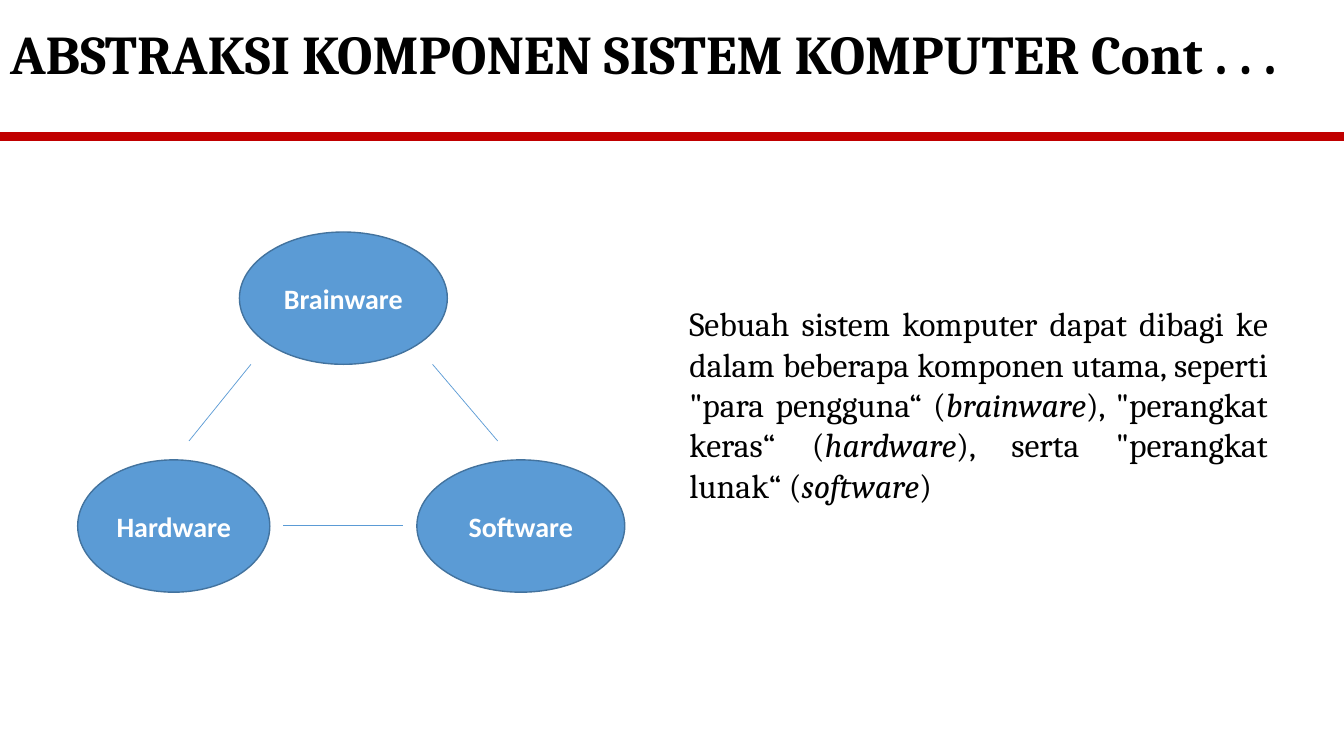
"""Build the slide on the components of a computer system."""
from typing import NamedTuple

from lxml.etree import SubElement
from pptx import Presentation
from pptx.dml.color import RGBColor
from pptx.enum.shapes import MSO_CONNECTOR, MSO_SHAPE
from pptx.enum.text import MSO_ANCHOR, MSO_AUTO_SIZE, PP_ALIGN
from pptx.oxml.ns import qn
from pptx.slide import Slide
from pptx.text.text import TextFrame
from pptx.util import Emu, Pt

EMU_PER_PX = 9525
BLACK = RGBColor(0x00, 0x00, 0x00)
WHITE = RGBColor(0xFF, 0xFF, 0xFF)
RED = RGBColor(0xC0, 0x00, 0x00)
BLUE = RGBColor(0x5B, 0x9B, 0xD5)
DARK_BLUE = RGBColor(0x43, 0x73, 0x9E)
COMPONENT_HEIGHT = 126


class Component(NamedTuple):
    name: str
    left: int
    top: int
    width: int


class Line(NamedTuple):
    start: tuple[int, int]
    end: tuple[int, int]
    color: RGBColor = BLUE
    weight: float = 0.5


COMPONENTS = (
    Component("Hardware", 74, 438, 183),
    Component("Brainware", 228, 221, 198),
    Component("Software", 397, 438, 198),
)
TITLE_RULE = Line((0, 130), (1280, 130), RED, 6)
LINKS = (
    Line((412, 347), (474, 420)),
    Line((239, 347), (180, 420)),
    Line((270, 500), (384, 500)),
)
TITLE = "ABSTRAKSI KOMPONEN SISTEM KOMPUTER Cont . . ."
DESCRIPTION = (
    ("Sebuah sistem komputer dapat dibagi ke dalam beberapa komponen utama, "
     'seperti "para pengguna“ (', False),
    ("brainware", True),
    ('), "perangkat keras“ (', False),
    ("hardware", True),
    ('), serta "perangkat lunak“ (', False),
    ("software", True),
    (")", False),
)


def px(*lengths: int) -> list[Emu]:
    return [Emu(length * EMU_PER_PX) for length in lengths]


def write_text(frame: TextFrame, *runs: tuple[str, bool], size: float,
               font: str = "Cambria", color: RGBColor = BLACK,
               bold: bool = False, align: PP_ALIGN = PP_ALIGN.LEFT,
               anchor: MSO_ANCHOR = MSO_ANCHOR.TOP) -> None:
    frame.word_wrap = True
    frame.auto_size = MSO_AUTO_SIZE.NONE
    frame.vertical_anchor = anchor
    paragraph = frame.paragraphs[0]
    paragraph.alignment = align
    for text, italic in runs:
        run = paragraph.add_run()
        run.text = text
        run.font.name = font
        run.font.size = Pt(size)
        run.font.bold = bold
        run.font.italic = italic
        run.font.color.rgb = color


def draw_line(slide: Slide, line: Line) -> None:
    connector = slide.shapes.add_connector(
        MSO_CONNECTOR.STRAIGHT, *px(*line.start, *line.end))
    connector.line.color.rgb = line.color
    connector.line.width = Pt(line.weight)
    SubElement(connector._element.spPr, qn("a:effectLst"))


def draw_component(slide: Slide, component: Component) -> None:
    shape = slide.shapes.add_shape(
        MSO_SHAPE.OVAL,
        *px(component.left, component.top, component.width, COMPONENT_HEIGHT))
    shape.shadow.inherit = False
    shape.fill.solid()
    shape.fill.fore_color.rgb = BLUE
    shape.line.color.rgb = DARK_BLUE
    shape.line.width = Pt(1)
    write_text(shape.text_frame, (component.name, False), size=20,
               font="Calibri", color=WHITE, bold=True,
               align=PP_ALIGN.CENTER, anchor=MSO_ANCHOR.MIDDLE)


def main() -> None:
    presentation = Presentation()
    presentation.slide_width, presentation.slide_height = px(1280, 720)
    slide = presentation.slides.add_slide(presentation.slide_layouts[5])

    draw_line(slide, TITLE_RULE)
    title = slide.shapes.title
    title.left, title.top, title.width, title.height = px(0, 14, 1280, 73)
    write_text(title.text_frame, (TITLE, False), size=39, bold=True)
    description = slide.shapes.add_textbox(*px(647, 284, 570, 204))
    write_text(description.text_frame, *DESCRIPTION, size=24,
               align=PP_ALIGN.JUSTIFY)
    for component in COMPONENTS:
        draw_component(slide, component)
    for link in LINKS:
        draw_line(slide, link)

    presentation.save("out.pptx")


if __name__ == "__main__":
    main()
